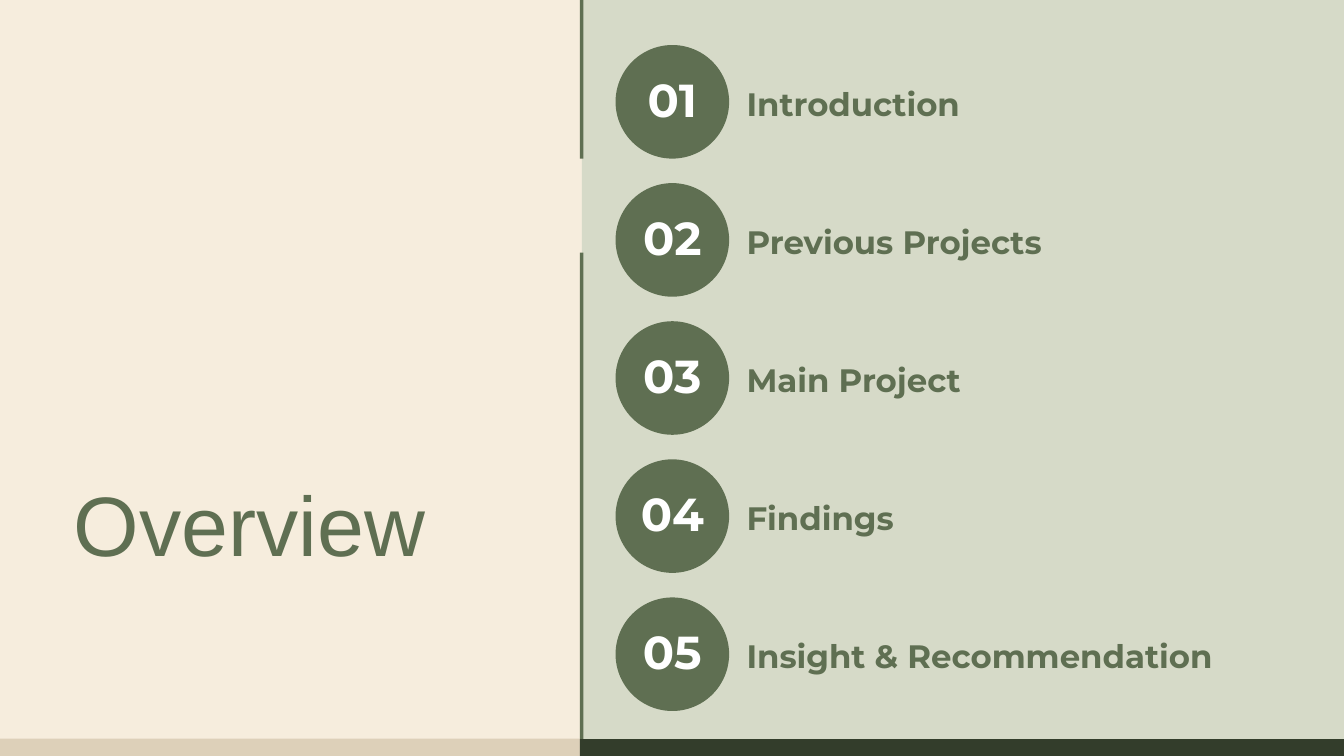
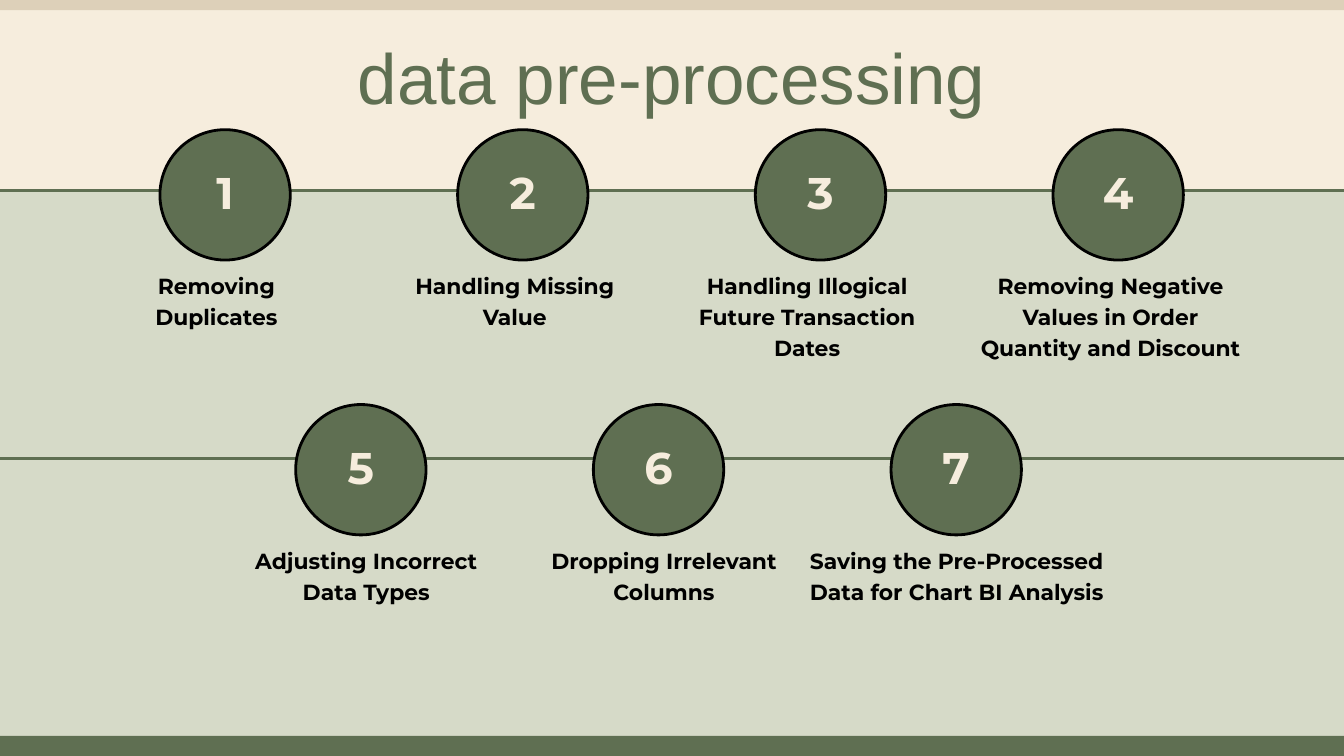
"""Build the overview slide and the data pre-processing slide."""
from lxml.etree import SubElement
from pptx import Presentation
from pptx.dml.color import RGBColor
from pptx.enum.shapes import MSO_CONNECTOR as Connector, MSO_SHAPE as Shape
from pptx.enum.text import MSO_ANCHOR as Anchor, MSO_AUTO_SIZE as AutoSize, PP_ALIGN as Align
from pptx.oxml.ns import qn
from pptx.util import Inches, Pt

CREAM = RGBColor(0xF6, 0xED, 0xDD)
SAND = RGBColor(0xDD, 0xD0, 0xB9)
SAGE = RGBColor(0xD6, 0xDA, 0xC8)
GREEN = RGBColor(0x5F, 0x6F, 0x52)
DARK_GREEN = RGBColor(0x33, 0x3D, 0x2B)
BLACK = RGBColor(0, 0, 0)
WHITE = RGBColor(0xFF, 0xFF, 0xFF)

TITLE_FONT = "Arial"
BODY_FONT = "Montserrat"
MARGINS = ("margin_left", "margin_top", "margin_right", "margin_bottom")
BOX_FRAME = dict.fromkeys(MARGINS, 0) | {"word_wrap": True, "auto_size": AutoSize.SHAPE_TO_FIT_TEXT}
NUMBER_FRAME = dict.fromkeys(MARGINS, 0) | {
    "margin_bottom": Inches(0.22), "word_wrap": False, "vertical_anchor": Anchor.MIDDLE}


def add_filled(slide, preset, box, color):
    shape = slide.shapes.add_shape(preset, *map(Inches, box))
    shape.shadow.inherit = False
    shape.fill.solid()
    shape.fill.fore_color.rgb = color
    shape.line.fill.background()
    return shape


def write_text(shape, text, frame_format, size, spacing, color,
               align=Align.LEFT, name=BODY_FONT, bold=True):
    frame = shape.text_frame
    paragraph = frame.paragraphs[0]
    run = paragraph.add_run()
    run.text = text
    run.font.color.rgb = color
    formats = (
        (frame, frame_format),
        (paragraph, {"alignment": align, "line_spacing": Pt(spacing)}),
        (run.font, {"name": name, "size": Pt(size), "bold": bold}),
    )
    for target, values in formats:
        for attribute, value in values.items():
            setattr(target, attribute, value)


presentation = Presentation()
presentation.slide_width = Inches(20)
presentation.slide_height = Inches(11.25)
slides = []
for _ in range(2):
    slide = presentation.slides.add_slide(presentation.slide_layouts[6])
    slide.background.fill.solid()
    slide.background.fill.fore_color.rgb = CREAM
    slides.append(slide)
overview, steps = slides

add_filled(overview, Shape.RECTANGLE, (8.66, -0.3, 11.53, 11.69), SAGE)
topics = ["Introduction", "Previous Projects", "Main Project", "Findings",
          "Insight & Recommendation"]
for index, topic in enumerate(topics):
    top = 0.67 + 2.055 * index
    circle = add_filled(overview, Shape.OVAL, (9.16, top, 1.69, 1.69), GREEN)
    write_text(circle, f"{index + 1:02}", NUMBER_FRAME, 49.5, 69.3, WHITE, Align.CENTER)
    topic_box = overview.shapes.add_textbox(*map(Inches, (11.11, top + 0.48, 7.76, 0.64)))
    write_text(topic_box, topic, BOX_FRAME, 34.7, 48.6, GREEN)

title = overview.shapes.add_textbox(*map(Inches, (1.1, 7.01, 7.28, 1.51)))
write_text(title, "Overview", BOX_FRAME, 90.3, 109.3, GREEN, name=TITLE_FONT, bold=False)

overview_bands = [
    ((8.63, 3.76, 0.05, 11.39), GREEN),
    ((-0.62, 10.99, 9.25, 0.9), SAND),
    ((8.63, 11, 11.37, 4.45), DARK_GREEN),
    ((8.63, -3.05, 0.05, 5.41), GREEN),
]
steps_bands = [
    ((0, 2.83, 20, 8.42), SAGE),
    ((-0.63, -4.3, 20.95, 4.45), SAND),
    ((0, 10.95, 20, 0.61), GREEN),
]
for slide, bands in ((overview, overview_bands), (steps, steps_bands)):
    for box, color in bands:
        add_filled(slide, Shape.RECTANGLE, box, color)

title = steps.shapes.add_textbox(*map(Inches, (1.12, 0.49, 17.75, 1.27)))
write_text(title, "data pre-processing", BOX_FRAME, 76.1, 92.1, GREEN,
           Align.CENTER, TITLE_FONT, False)

step_rows = [
    (2.83, 2.38, 1.93, 1, [
        ("Removing Duplicates", 1.5, 3.44, 1.33),
        ("Handling Missing Value", 5.94, 3.44, 0.88),
        ("Handling Illogical Future Transaction Dates", 10.29, 3.44, 1.33),
        ("Removing Negative Values in Order Quantity and Discount", 14.55, 3.95, 1.33),
    ]),
    (6.82, 4.4, 6.02, 5, [
        ("Adjusting Incorrect Data Types", 3.73, 3.44, 0.88),
        ("Dropping Irrelevant Columns", 8.16, 3.44, 0.88),
        ("Saving the Pre-Processed Data for Chart BI Analysis", 11.95, 4.57, 0.88),
    ]),
]
for line_y, first_left, top, first_number, labels in step_rows:
    timeline = steps.shapes.add_connector(
        Connector.STRAIGHT, *map(Inches, (-0.32, line_y, 20.32, line_y)))
    timeline.line.color.rgb = GREEN
    timeline.line.width = Pt(3)
    SubElement(timeline._element.spPr, qn("a:effectLst"))
    for index, (label, left, width, height) in enumerate(labels):
        circle = add_filled(steps, Shape.OVAL, (first_left + 4.43 * index, top, 1.94, 1.94), GREEN)
        circle.line.color.rgb = BLACK
        circle.line.width = Pt(3)
        write_text(circle, str(first_number + index), NUMBER_FRAME, 47.5, 66.5, CREAM, Align.CENTER)
        label_box = steps.shapes.add_textbox(*map(Inches, (left, top + 2.07, width, height)))
        write_text(label_box, label, BOX_FRAME, 23.4, 32.7, BLACK, Align.CENTER)

presentation.save("out.pptx")
